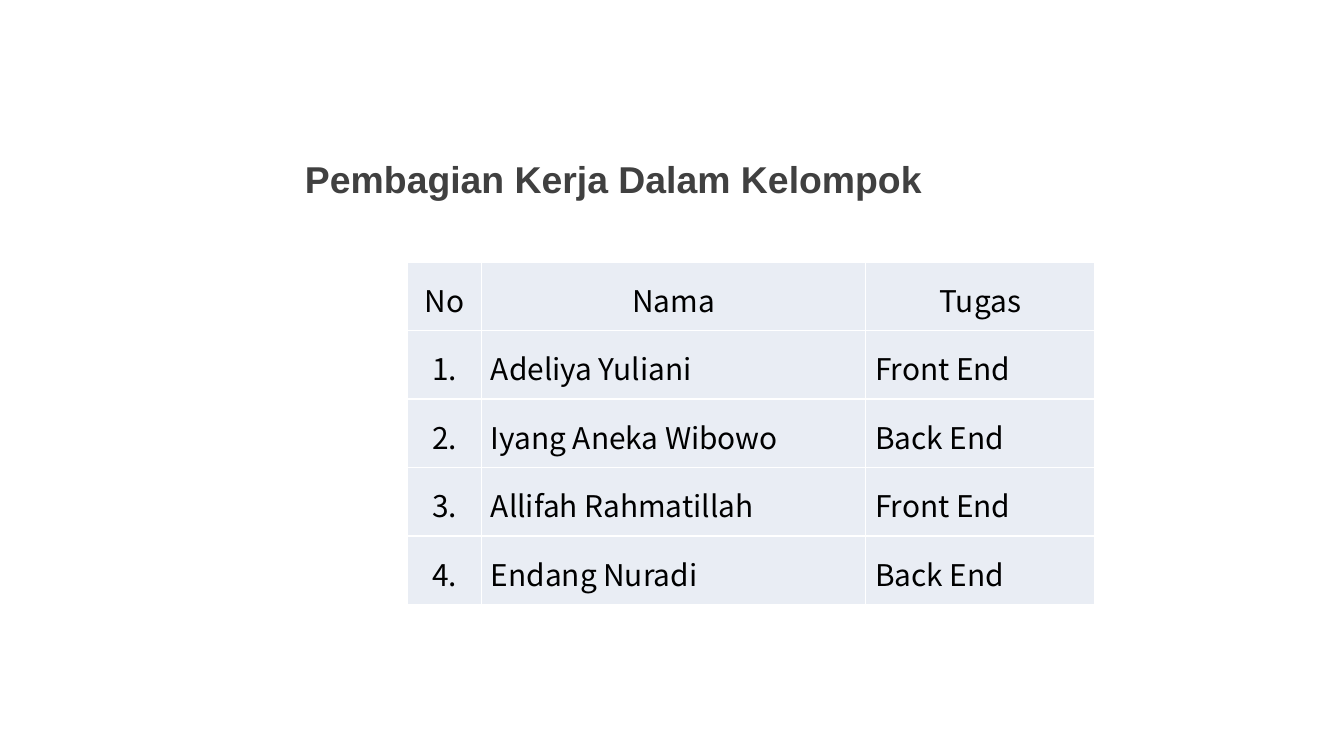
from lxml.etree import SubElement
from pptx import Presentation
from pptx.dml.color import RGBColor
from pptx.enum.text import MSO_ANCHOR, PP_ALIGN
from pptx.oxml.ns import qn
from pptx.util import Cm, Pt

COLORS = {"title": "404040", "text": "000000", "cell": "E9EDF4", "line": "FFFFFF"}
WIDTHS = [1.4, 7.26, 4.34]
ROW = 1.29
INSET = 0.18
ROWS = [
    ("No", "Nama", "Tugas"),
    ("1.", "Adeliya Yuliani", "Front End"),
    ("2.", "Iyang Aneka Wibowo", "Back End"),
    ("3.", "Allifah Rahmatillah", "Front End"),
    ("4.", "Endang Nuradi", "Back End"),
]


def write(frame, text, *, font, size, color, bold=False, align=PP_ALIGN.LEFT, space=1.0):
    frame.word_wrap = True
    par = frame.paragraphs[0]
    par.alignment = align
    par.line_spacing = space
    run = par.add_run()
    run.text = text
    run.font.name = font
    run.font.size = Pt(size)
    run.font.bold = bold
    run.font.color.rgb = RGBColor.from_string(COLORS[color])


def add_title(slide, text):
    title = slide.shapes.title
    title.left, title.top = Cm(5.51), Cm(2.74)
    title.width, title.height = Cm(19.2), Cm(1.27)
    title.text_frame.vertical_anchor = MSO_ANCHOR.MIDDLE
    write(title.text_frame, text, font="Arial", size=20, color="title", bold=True)


def add_borders(cell):
    props = cell._tc.get_or_add_tcPr()
    for side in ("a:lnL", "a:lnR", "a:lnT", "a:lnB"):
        line = SubElement(props, qn(side), w=str(Pt(1)))
        fill = SubElement(line, qn("a:solidFill"))
        SubElement(fill, qn("a:srgbClr"), val=COLORS["line"])


def style_cell(cell):
    add_borders(cell)
    cell.fill.solid()
    cell.fill.fore_color.rgb = RGBColor.from_string(COLORS["cell"])
    cell.margin_left = cell.margin_right = Cm(INSET)
    cell.margin_top = cell.margin_bottom = Cm(INSET)


def add_grid(slide, rows):
    table = slide.shapes.add_table(
        len(rows), len(WIDTHS), Cm(7.7), Cm(4.95),
        Cm(sum(WIDTHS)), Cm(ROW * len(rows))).table
    for col, width in zip(table.columns, WIDTHS):
        col.width = Cm(width)
    for r, row in enumerate(rows):
        table.rows[r].height = Cm(ROW)
        for c, text in enumerate(row):
            cell = table.cell(r, c)
            style_cell(cell)
            center = r == 0 or c == 0
            write(cell.text_frame, text, font="Noto Sans CJK KR", size=16, color="text",
                  align=PP_ALIGN.CENTER if center else PP_ALIGN.JUSTIFY, space=1.15)


def main():
    deck = Presentation()
    deck.slide_width, deck.slide_height = Cm(25.4), Cm(14.29)
    slide = deck.slides.add_slide(deck.slide_layouts[5])
    add_title(slide, "Pembagian Kerja Dalam Kelompok")
    add_grid(slide, ROWS)
    deck.save("out.pptx")


if __name__ == "__main__":
    main()
